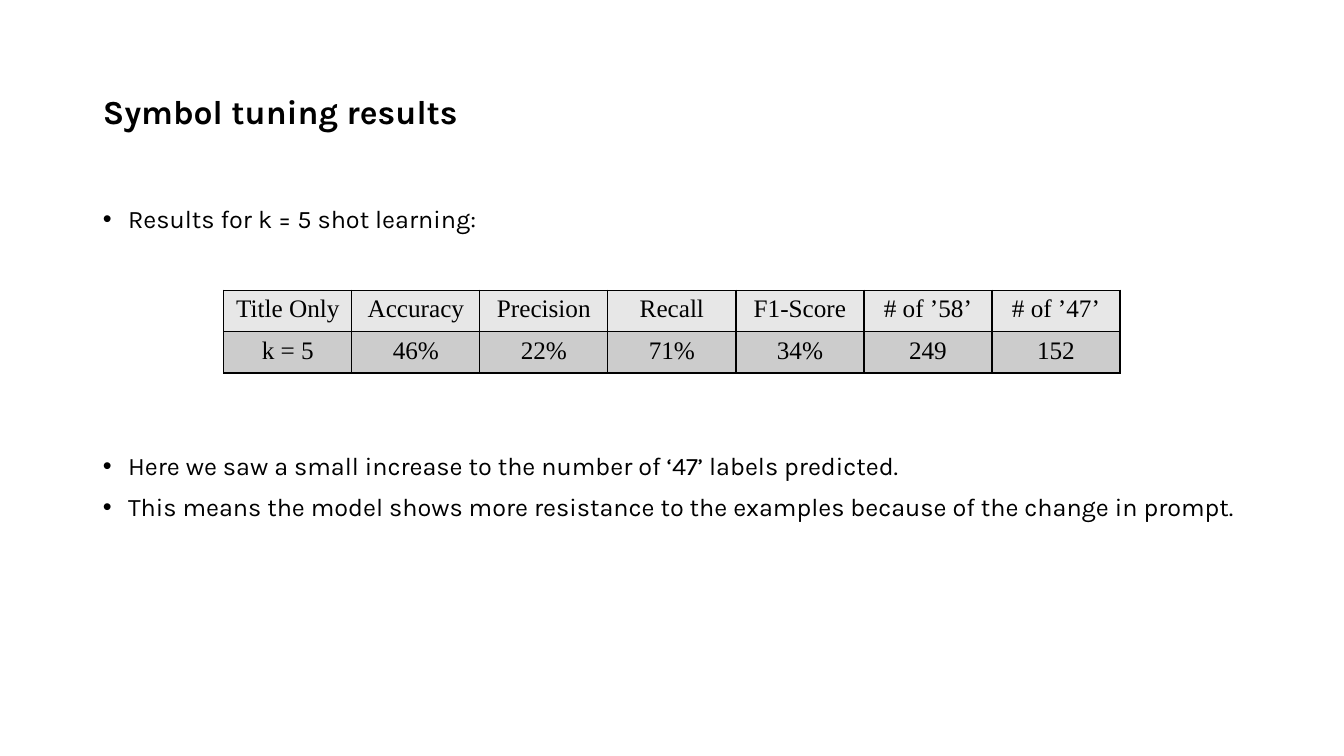
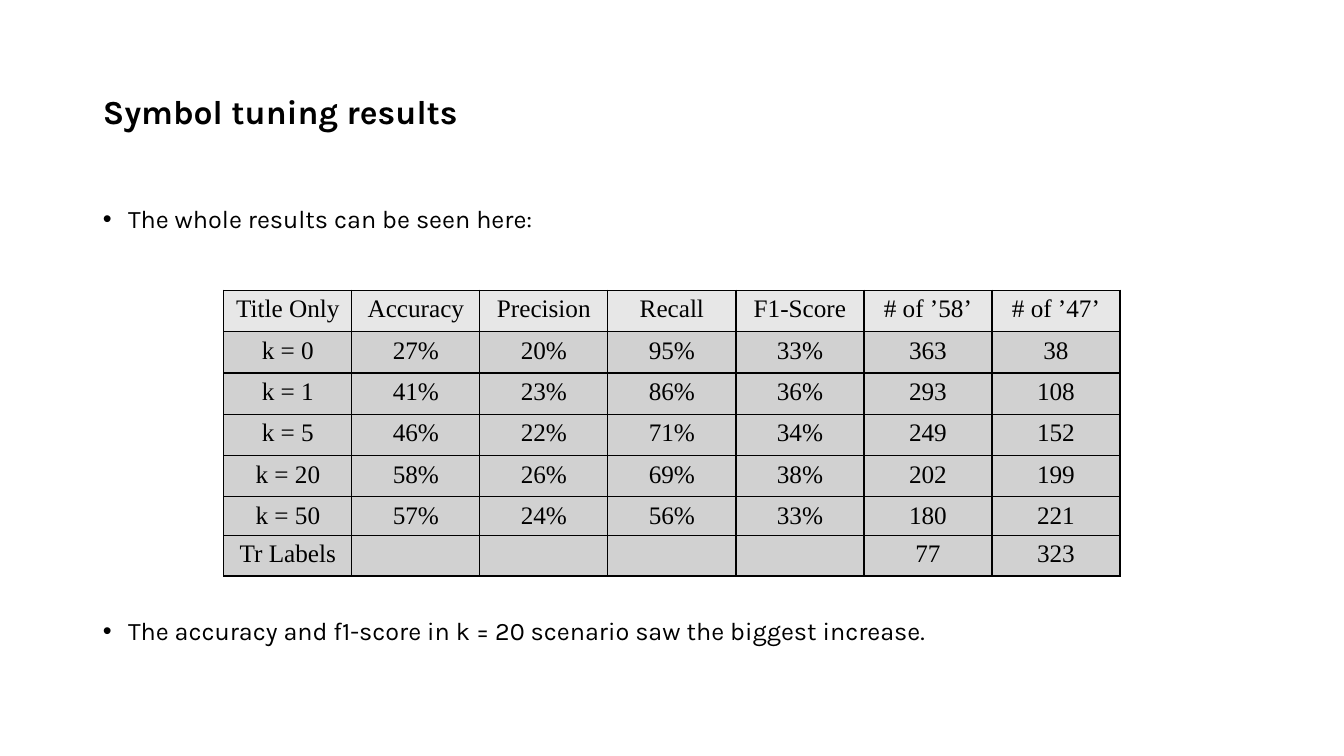
from lxml import etree
from pptx import Presentation
from pptx.dml.color import RGBColor
from pptx.enum.text import MSO_ANCHOR, MSO_AUTO_SIZE, PP_ALIGN
from pptx.oxml.ns import qn
from pptx.util import Inches, Pt

LEFT, CENTER = PP_ALIGN.LEFT, PP_ALIGN.CENTER
TOP, MIDDLE = MSO_ANCHOR.TOP, MSO_ANCHOR.MIDDLE
NO_AUTOFIT = MSO_AUTO_SIZE.NONE

BLACK = RGBColor(0x00, 0x00, 0x00)
HEADER_GREY = RGBColor(0xE7, 0xE7, 0xE7)
SINGLE_ROW_GREY = RGBColor(0xCC, 0xCC, 0xCC)
ALL_ROWS_GREY = RGBColor(0xD1, 0xD1, 0xD1)

TEXT_FONT, TABLE_FONT = "Karla", "Times New Roman"
TITLE_SIZE, TEXT_SIZE = Pt(24), Pt(18)

SLIDE_W, SLIDE_H = Inches(13.33), Inches(7.5)
MARGIN = Inches(0.92)
CONTENT_W = SLIDE_W - 2 * MARGIN
TITLE_TOP, TITLE_H = Inches(0.4), Inches(1.45)
BODY_TOP, BODY_H = Inches(2), Inches(4.76)
TABLE_TOP = Inches(2.88)
COL_W, ROW_H, TIGHT_ROW_H = Inches(1.27), Inches(0.41), Inches(0.38)
INDENT = Inches(0.25)
LINE_SPACING, BULLET_GAP = 0.9, 10

TITLE = "Symbol tuning results"
HEADER = ["Title Only", "Accuracy", "Precision", "Recall", "F1-Score",
          "# of ’58’", "# of ’47’"]
FIVE_SHOT = ["k = 5", "46%", "22%", "71%", "34%", "249", "152"]
ALL_SHOTS = [
    ["k = 0", "27%", "20%", "95%", "33%", "363", "38"],
    ["k = 1", "41%", "23%", "86%", "36%", "293", "108"],
    FIVE_SHOT,
    ["k = 20", "58%", "26%", "69%", "38%", "202", "199"],
    ["k = 50", "57%", "24%", "56%", "33%", "180", "221"],
    ["Tr Labels", "", "", "", "", "77", "323"],
]


def add_run(paragraph, text, font_name, size, bold=False):
    """Append one black run to a paragraph."""
    run = paragraph.add_run()
    run.text = text
    run.font.name = font_name
    run.font.size = size
    run.font.bold = bold
    run.font.color.rgb = BLACK


def place(placeholder, top, height, anchor):
    """Move a placeholder to the content column and return its text frame."""
    placeholder.left, placeholder.top = MARGIN, top
    placeholder.width, placeholder.height = CONTENT_W, height
    frame = placeholder.text_frame
    frame.word_wrap = True
    frame.auto_size = NO_AUTOFIT
    frame.vertical_anchor = anchor
    return frame


def add_title(slide, text):
    """Fill the title placeholder."""
    heading = place(slide.shapes.title, TITLE_TOP, TITLE_H, MIDDLE).paragraphs[0]
    heading.alignment = LEFT
    heading.line_spacing = LINE_SPACING
    add_run(heading, text, TEXT_FONT, TITLE_SIZE, bold=True)


def set_bullet(paragraph):
    """Give a paragraph a hanging round bullet."""
    properties = paragraph._p.get_or_add_pPr()
    properties.set("marL", str(INDENT))
    properties.set("indent", str(-INDENT))
    etree.SubElement(properties, qn("a:buFont"), typeface="Arial")
    etree.SubElement(properties, qn("a:buChar"), char="•")


def add_bullets(slide, intro, findings, table_gap):
    """Fill the body with an intro, room for the table, and the findings."""
    frame = place(slide.placeholders[1], BODY_TOP, BODY_H, TOP)
    gaps = [0, table_gap] + [BULLET_GAP] * (len(findings) - 1)
    for index, (text, gap) in enumerate(zip([intro] + findings, gaps)):
        bullet = frame.add_paragraph() if index else frame.paragraphs[0]
        set_bullet(bullet)
        bullet.alignment = LEFT
        bullet.line_spacing = LINE_SPACING
        bullet.space_before = Pt(gap)
        add_run(bullet, text, TEXT_FONT, TEXT_SIZE)


def set_borders(cell):
    """Draw a thin black line on all four sides of a cell."""
    properties = cell._tc.get_or_add_tcPr()
    for side in ("a:lnL", "a:lnR", "a:lnT", "a:lnB"):
        line = etree.SubElement(properties, qn(side), w=str(Pt(1)))
        fill = etree.SubElement(line, qn("a:solidFill"))
        etree.SubElement(fill, qn("a:srgbClr"), val=str(BLACK))


def fill_cell(cell, text, shade):
    """Set the text, borders and shade of one table cell."""
    set_borders(cell)
    cell.fill.solid()
    cell.fill.fore_color.rgb = shade
    label = cell.text_frame.paragraphs[0]
    label.alignment = CENTER
    if text:
        add_run(label, text, TABLE_FONT, TEXT_SIZE)
    else:
        label.font.size = TEXT_SIZE


def add_results_table(slide, results, shade, tight_rows):
    """Add a centred results table whose last rows may be tighter."""
    rows = [HEADER] + results
    heights = [ROW_H] * (len(rows) - tight_rows) + [TIGHT_ROW_H] * tight_rows
    width = COL_W * len(HEADER)
    table = slide.shapes.add_table(
        len(rows), len(HEADER), (SLIDE_W - width) // 2, TABLE_TOP,
        width, sum(heights)).table
    table.first_row = table.horz_banding = False
    for column in table.columns:
        column.width = COL_W
    for index, (values, height) in enumerate(zip(rows, heights)):
        table.rows[index].height = height
        for column, value in enumerate(values):
            fill_cell(table.cell(index, column), value,
                      shade if index else HEADER_GREY)


def add_results_slide(deck, intro, findings, table_gap, results, shade,
                      tight_rows=0):
    """Add a titled slide with bullets around a results table."""
    slide = deck.slides.add_slide(deck.slide_layouts[1])
    add_title(slide, TITLE)
    add_bullets(slide, intro, findings, table_gap)
    add_results_table(slide, results, shade, tight_rows)


def main():
    """Build and save the deck."""
    deck = Presentation()
    deck.slide_width, deck.slide_height = SLIDE_W, SLIDE_H
    add_results_slide(
        deck, "Results for k = 5 shot learning:",
        ["Here we saw a small increase to the number of ‘47’ labels predicted.",
         "This means the model shows more resistance to the examples because "
         "of the change in prompt."],
        157, [FIVE_SHOT], SINGLE_ROW_GREY)
    add_results_slide(
        deck, "The whole results can be seen here:",
        ["The accuracy and f1-score in k = 20 scenario saw the biggest increase."],
        275, ALL_SHOTS, ALL_ROWS_GREY, tight_rows=2)
    deck.save("out.pptx")


if __name__ == "__main__":
    main()
